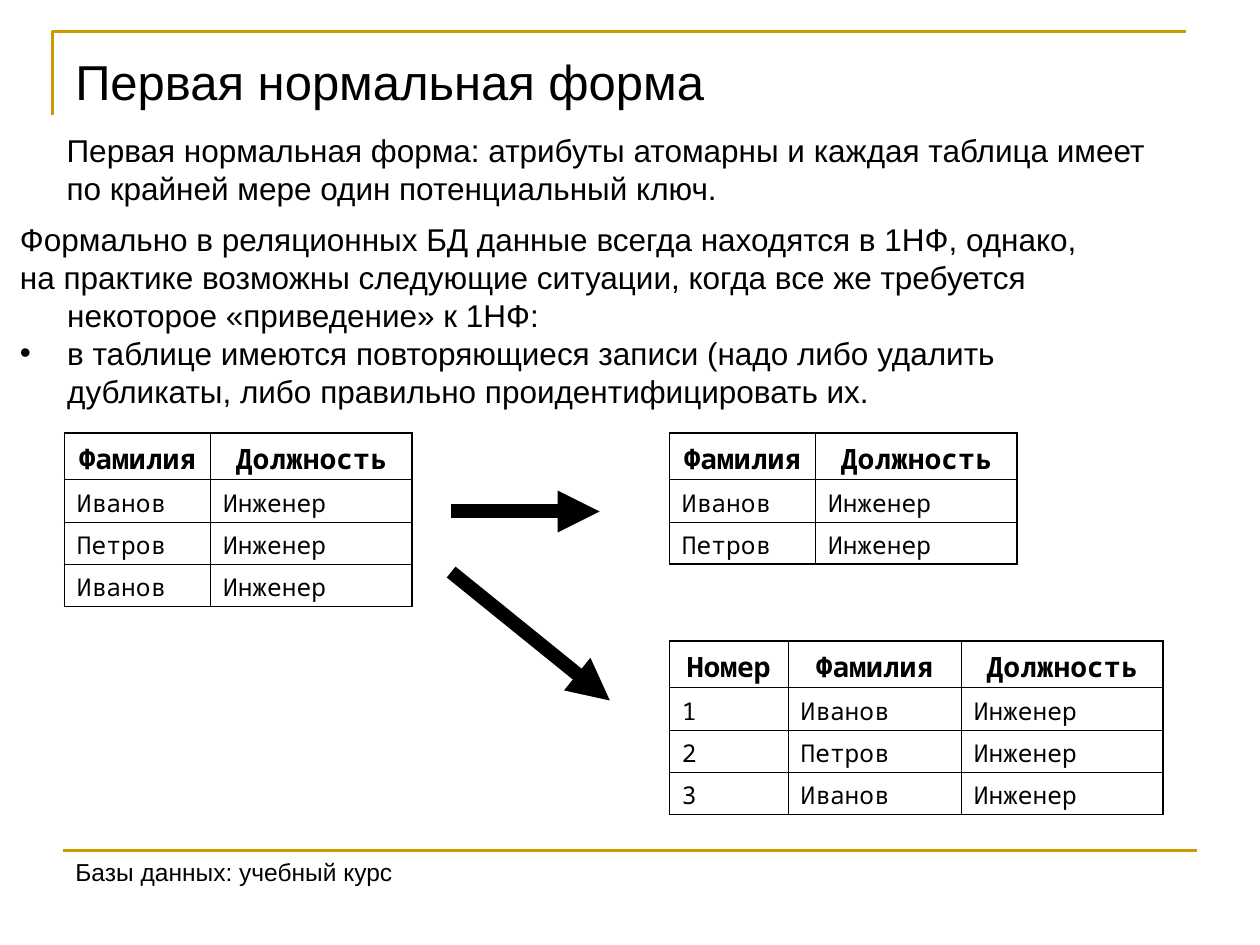
"""Build a slide that explains first normal form with three example tables."""
from dataclasses import dataclass

from lxml.etree import SubElement
from pptx import Presentation
from pptx.dml.color import RGBColor
from pptx.enum.shapes import MSO_CONNECTOR
from pptx.enum.text import MSO_ANCHOR, PP_ALIGN
from pptx.oxml.ns import qn
from pptx.util import Pt


@dataclass(frozen=True)
class Theme:
    ink: RGBColor = RGBColor(0x00, 0x00, 0x00)
    gold: RGBColor = RGBColor(0xCC, 0x99, 0x00)
    text_font: str = "Arial"
    table_font: str = "Noto Sans Mono"
    title: int = 28
    body: int = 18
    header: int = 16
    small: int = 14


theme = Theme()


def style_font(para, name, size, bold=False):
    for span in para.runs:
        span.font.name = name
        span.font.size = Pt(size)
        span.font.bold = bold
        span.font.color.rgb = theme.ink


def add_text(page, left, top, width, height, lines, size):
    box = page.shapes.add_textbox(Pt(left), Pt(top), Pt(width), Pt(height))
    frame = box.text_frame
    frame.word_wrap = True
    frame.text = "\n".join(lines)
    for para in frame.paragraphs:
        style_font(para, theme.text_font, size)
    return frame


deck = Presentation()
deck.slide_width, deck.slide_height = Pt(720), Pt(540)
page = deck.slides.add_slide(deck.slide_layouts[6])

builder = page.shapes.build_freeform(Pt(30), Pt(66), scale=1.0)
builder.add_line_segments([(Pt(30), Pt(18)), (Pt(678), Pt(18))], close=False)
corner = builder.convert_to_shape()
corner.shadow.inherit = False
corner.fill.background()
corner.line.color.rgb = theme.gold
corner.line.width = Pt(1.5)

title = add_text(page, 36, 21.6, 648, 49.7, ["Первая нормальная форма"], theme.title)
title.vertical_anchor = MSO_ANCHOR.MIDDLE
add_text(page, 36, 486, 200, 24.5, ["Базы данных: учебный курс"], theme.small)
add_text(page, 31, 71.3, 634, 50.4, [
    "Первая нормальная форма: атрибуты атомарны и каждая таблица имеет",
    "по крайней мере один потенциальный ключ.",
], theme.body)
situations = add_text(page, 4.3, 122.4, 675, 115, [
    "Формально в реляционных БД данные всегда находятся в 1НФ, однако,",
    "на практике возможны следующие ситуации, когда все же требуется\v"
    "некоторое «приведение» к 1НФ:",
    "в таблице имеются повторяющиеся записи (надо либо удалить\v"
    "дубликаты, либо правильно проидентифицировать их.",
], theme.body)
for para in situations.paragraphs:
    properties = para._p.get_or_add_pPr()
    properties.set("marL", str(Pt(27)))
    properties.set("indent", str(-Pt(27)))
SubElement(properties, qn("a:buFont"), typeface=theme.text_font)
SubElement(properties, qn("a:buChar"), char="•")

surname_post = ("Фамилия", "Должность")
ivanov, petrov = ("Иванов", "Инженер"), ("Петров", "Инженер")
people = [ivanov, petrov, ivanov]
numbered = [(str(number), *person) for number, person in enumerate(people, 1)]
tables = [
    (36.8, 247.5, (83.5, 115.2), [surname_post, *people]),
    (382.5, 247.5, (83.5, 115.2), [surname_post, ivanov, petrov]),
    (382.5, 366.3, (67.8, 99, 115.2), [("Номер", *surname_post), *numbered]),
]
for left, top, widths, records in tables:
    heights = [26.6] + [24.2] * (len(records) - 1)
    last_row, last_column = len(records) - 1, len(widths) - 1
    table = page.shapes.add_table(
        len(records), len(widths), Pt(left), Pt(top), Pt(sum(widths)), Pt(sum(heights))
    ).table
    table.first_row = table.horz_banding = False
    for column, width in zip(table.columns, widths):
        column.width = Pt(width)
    for row, record in enumerate(records):
        table.rows[row].height = Pt(heights[row])
        for column, value in enumerate(record):
            cell = table.cell(row, column)
            cell.margin_bottom = Pt(1)
            cell.text_frame.text = value
            para = cell.text_frame.paragraphs[0]
            is_header = row == 0
            para.alignment = PP_ALIGN.CENTER if is_header else PP_ALIGN.LEFT
            size = theme.header if is_header else theme.small
            style_font(para, theme.table_font, size, is_header)
            outer_sides = {
                "L": column == 0, "R": column == last_column,
                "T": row == 0, "B": row == last_row,
            }
            for side, is_outer in outer_sides.items():
                border = SubElement(
                    cell._tc.get_or_add_tcPr(), qn(f"a:ln{side}"),
                    w=str(Pt(1.08 if is_outer else 0.45)),
                )
                fill = SubElement(border, qn("a:solidFill"))
                SubElement(fill, qn("a:srgbClr"), val=str(theme.ink))
            cell.fill.background()

lines = [
    (36, 486, 684, 486, theme.gold, 1.5, False),
    (257.8, 292.3, 342.7, 292.3, theme.ink, 8, True),
    (257.8, 326.9, 348.5, 400.3, theme.ink, 8, True),
]
for start_x, start_y, end_x, end_y, color, weight, has_arrow in lines:
    connector = page.shapes.add_connector(
        MSO_CONNECTOR.STRAIGHT, Pt(start_x), Pt(start_y), Pt(end_x), Pt(end_y)
    )
    connector.line.color.rgb = color
    connector.line.width = Pt(weight)
    if has_arrow:
        SubElement(connector.line._get_or_add_ln(), qn("a:tailEnd"), type="triangle")
    SubElement(connector._element.spPr, qn("a:effectLst"))

deck.save("out.pptx")
